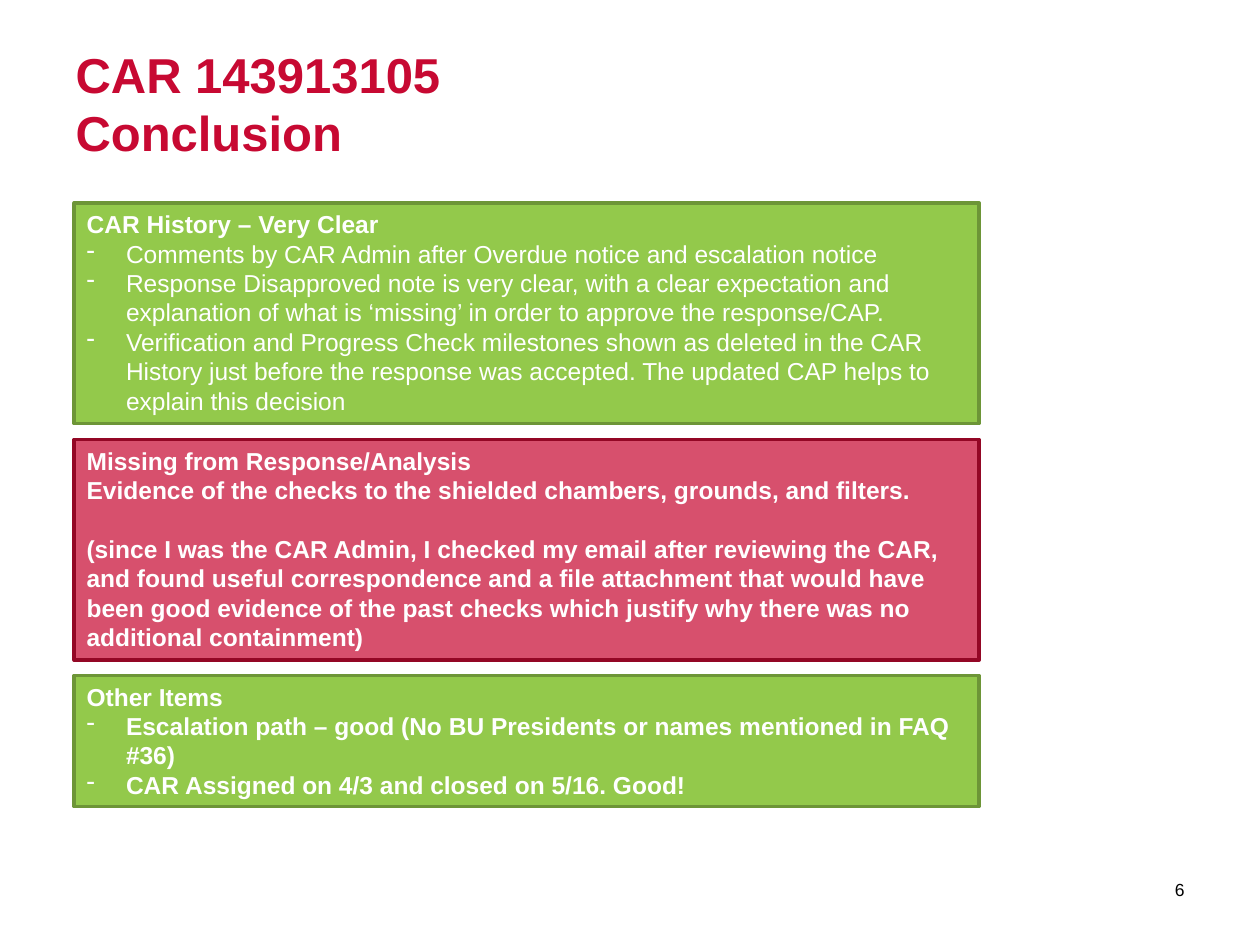
from dataclasses import dataclass

from lxml import etree
from pptx import Presentation
from pptx.dml.color import RGBColor
from pptx.enum.shapes import MSO_SHAPE
from pptx.enum.text import MSO_ANCHOR, MSO_AUTO_SIZE, PP_ALIGN
from pptx.oxml.ns import qn
from pptx.util import Pt

RECTANGLE = MSO_SHAPE.RECTANGLE
TOP, MIDDLE = MSO_ANCHOR.TOP, MSO_ANCHOR.MIDDLE
LEFT, RIGHT = PP_ALIGN.LEFT, PP_ALIGN.RIGHT
FIXED, GROW = MSO_AUTO_SIZE.NONE, MSO_AUTO_SIZE.SHAPE_TO_FIT_TEXT


@dataclass(frozen=True)
class Theme:
    font: str = "Arial"
    red: str = "C70932"
    dark_red: str = "930725"
    green: str = "93C94B"
    dark_green: str = "6D9537"
    white: str = "FFFFFF"
    black: str = "000000"
    title_size: int = 28
    body_size: int = 14
    number_size: int = 10


theme = Theme()


def apply_format(target, values):
    for name, value in values.items():
        setattr(target, name, value)


def write_text(para, text, size, color, bold):
    para.text = text
    font_format = {"name": theme.font, "size": Pt(size), "bold": bold}
    for span in para.runs:
        apply_format(span.font, font_format)
        span.font.color.rgb = RGBColor.from_string(color)


deck = Presentation()
apply_format(deck, {"slide_width": Pt(720), "slide_height": Pt(540)})
page = deck.slides.add_slide(deck.slide_layouts[5])

title = page.shapes.title
apply_format(title, {"left": Pt(36), "top": Pt(21.6), "width": Pt(648), "height": Pt(42.5)})
apply_format(title.text_frame, {"vertical_anchor": TOP, "auto_size": FIXED, "word_wrap": True})
title_para = title.text_frame.paragraphs[0]
write_text(title_para, "CAR 143913105\vConclusion", theme.title_size, theme.red, True)
title_para.alignment = LEFT

number = page.shapes.add_textbox(Pt(633.6), Pt(493.9), Pt(50.4), Pt(28.8))
apply_format(number.text_frame, {"vertical_anchor": MIDDLE, "word_wrap": True})
number_para = number.text_frame.paragraphs[0]
write_text(number_para, "6", theme.number_size, theme.black, False)
number_para.alignment = RIGHT

good = {"fill": theme.green, "line": theme.dark_green, "opacity": 100}
missing = {"fill": theme.red, "line": theme.dark_red, "opacity": 71}
panels = [
    (116, 126, good, "CAR History – Very Clear", True, False, [
        "Comments by CAR Admin after Overdue notice and escalation notice",
        "Response Disapproved note is very clear, with a clear expectation and "
        "explanation of what is ‘missing’ in order to approve the response/CAP.",
        "Verification and Progress Check milestones shown as deleted in the CAR "
        "History just before the response was accepted. The updated CAP helps to "
        "explain this decision",
    ]),
    (251.2, 126, missing, "Missing from Response/Analysis", False, True, [
        "Evidence of the checks to the shielded chambers, grounds, and filters.",
        "(since I was the CAR Admin, I checked my email after reviewing the CAR, "
        "and found useful correspondence and a file attachment that would have "
        "been good evidence of the past checks which justify why there was no "
        "additional containment)",
    ]),
    (386, 75, good, "Other Items", True, True, [
        "Escalation path – good (No BU Presidents or names mentioned in FAQ #36)",
        "CAR Assigned on 4/3 and closed on 5/16. Good!",
    ]),
]

for top, height, style, heading, bulleted, bold, items in panels:
    box = page.shapes.add_shape(RECTANGLE, Pt(42.4), Pt(top), Pt(517), Pt(height))
    box.shadow.inherit = False
    box.fill.solid()
    box.fill.fore_color.rgb = RGBColor.from_string(style["fill"])
    if style["opacity"] < 100:
        color = box.fill._xPr.find(".//" + qn("a:srgbClr"))
        etree.SubElement(color, qn("a:alpha"), val=str(style["opacity"] * 1000))
    box.line.color.rgb = RGBColor.from_string(style["line"])
    box.line.width = Pt(2)

    frame = box.text_frame
    apply_format(frame, {"vertical_anchor": TOP, "word_wrap": True, "auto_size": GROW})
    write_text(frame.paragraphs[0], heading, theme.body_size, theme.white, True)
    for text in items:
        para = frame.add_paragraph()
        write_text(para, text, theme.body_size, theme.white, bold)
        if bulleted:
            properties = para._p.get_or_add_pPr()
            properties.set("marL", str(Pt(22.5)))
            properties.set("indent", str(-Pt(22.5)))
            etree.SubElement(properties, qn("a:buChar"), char="-")
    for para in frame.paragraphs:
        para.alignment = LEFT
    if not bulleted:
        frame.paragraphs[-1].space_before = Pt(16.8)

deck.save("out.pptx")
